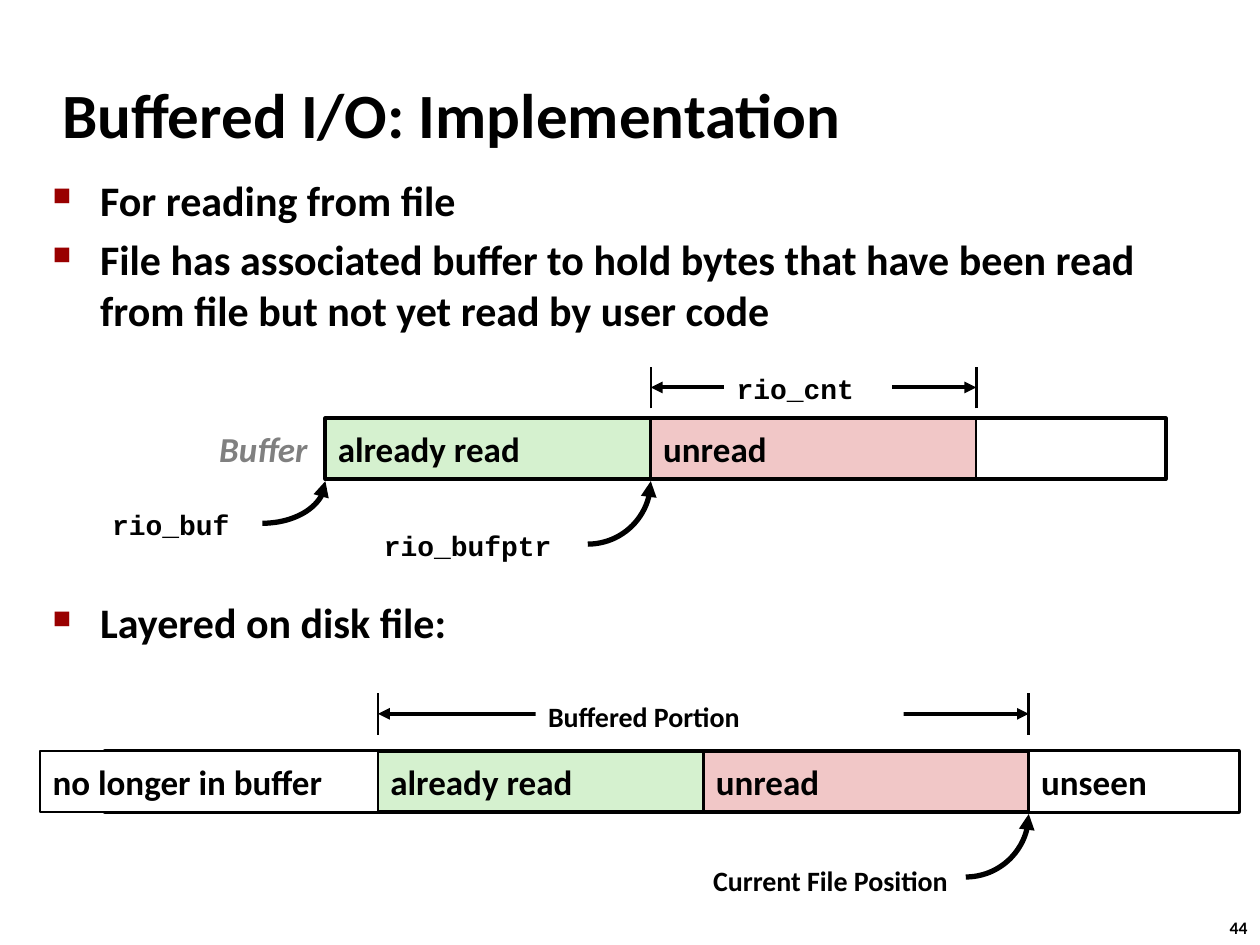
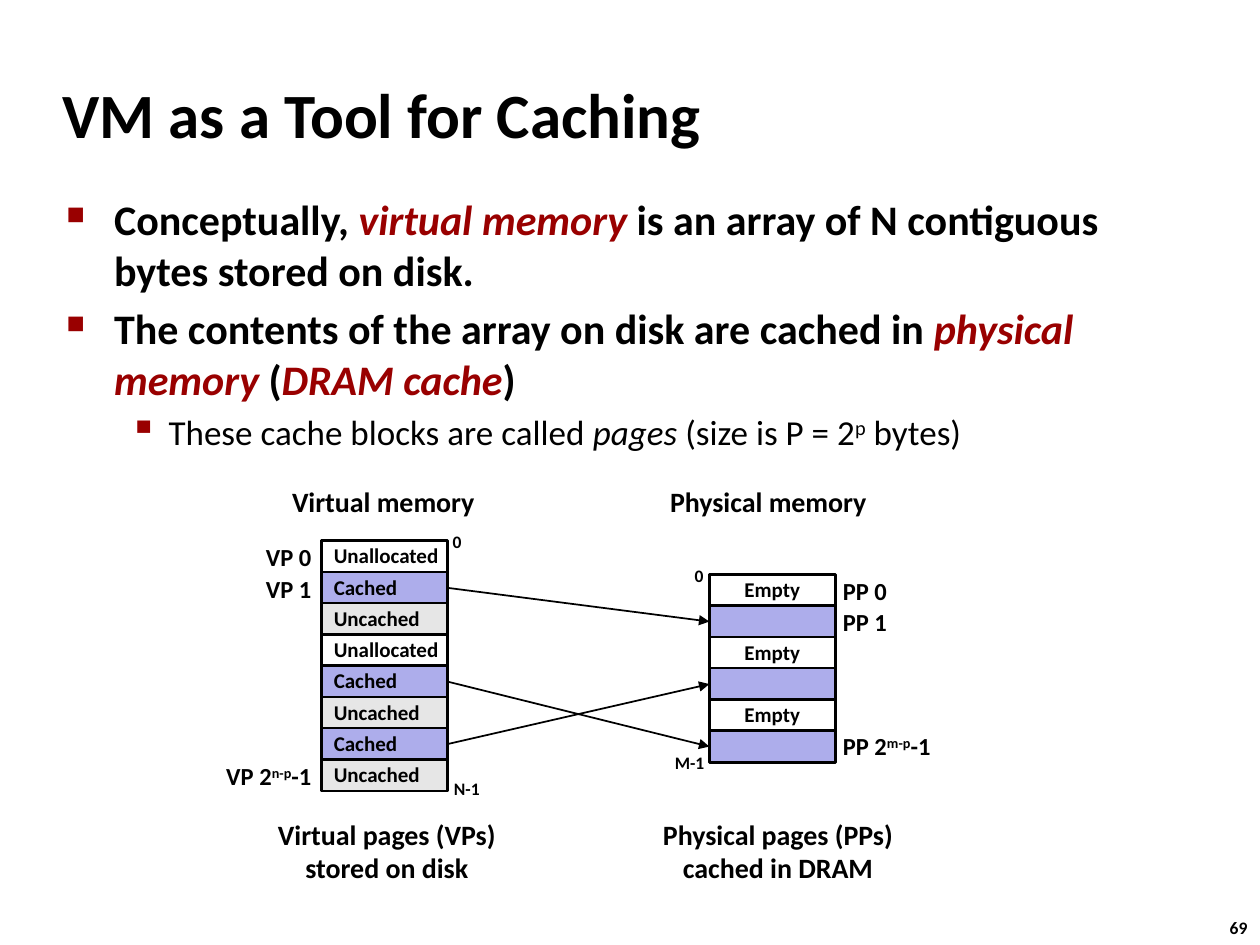
from math import cos, pi, sin

from lxml.etree import SubElement
from pptx import Presentation
from pptx.dml.color import RGBColor
from pptx.enum.shapes import MSO_CONNECTOR, MSO_SHAPE
from pptx.enum.text import MSO_ANCHOR as ANCHOR, PP_ALIGN as ALIGN
from pptx.oxml.ns import qn
from pptx.util import Cm, Pt

BLACK = RGBColor(0x00, 0x00, 0x00)
WHITE = RGBColor(0xFF, 0xFF, 0xFF)
RED = RGBColor(0x99, 0x00, 0x00)
GRAY = RGBColor(0x80, 0x80, 0x80)
GREEN = RGBColor(0xD5, 0xF1, 0xCF)
PINK = RGBColor(0xF1, 0xC7, 0xC7)
BLUE = RGBColor(0xAD, 0xAD, 0xEB)
LIGHT = RGBColor(0xE6, 0xE6, 0xE6)
SANS, MONO = "Calibri", "Courier New"
RECT, STRAIGHT = MSO_SHAPE.RECTANGLE, MSO_CONNECTOR.STRAIGHT
EM = {"italic": True, "color": RED}
SUP = {"sup": True}


def put(sp, text, size=20, font=SANS, color=BLACK, bold=True, italic=False,
        align=ALIGN.LEFT, anchor=ANCHOR.MIDDLE, wrap=False, spacing=None,
        fill=None, line=None):
    """Format a shape and write text: a string, or paragraphs of (text, format) runs."""
    sp.shadow.inherit = False
    if fill is None:
        sp.fill.background()
    else:
        sp.fill.solid()
        sp.fill.fore_color.rgb = fill
    if line is None:
        sp.line.fill.background()
    else:
        sp.line.color.rgb = BLACK
        sp.line.width = Pt(line)
    tf = sp.text_frame
    tf.word_wrap = wrap
    tf.vertical_anchor = anchor
    paragraphs = [[(row, {})] for row in text.split("\n")] if isinstance(text, str) else text
    for i, runs in enumerate(paragraphs):
        p = tf.add_paragraph() if i else tf.paragraphs[0]
        p.alignment = align
        if spacing:
            p.line_spacing = spacing
        for words, own in runs:
            if not words:
                continue
            r = p.add_run()
            r.text = words
            r.font.name = font
            r.font.size = Pt(own.get("size", size))
            r.font.bold = own.get("bold", bold)
            r.font.italic = own.get("italic", italic)
            r.font.color.rgb = own.get("color", color)
            if own.get("sup"):
                r.font._element.set("baseline", "30000")
    return sp


def draw_line(sp, width, *ends):
    """Give a connector or curve a black line with arrowheads at the named ends."""
    sp.line.color.rgb = BLACK
    sp.line.width = Pt(width)
    spPr = sp._element.spPr
    for end in ends:
        SubElement(spPr.find(qn("a:ln")), qn(f"a:{end}"), type="triangle")
    if spPr.find(qn("a:effectLst")) is None:
        SubElement(spPr, qn("a:effectLst"))


prs = Presentation()
prs.slide_width, prs.slide_height = Cm(25.4), Cm(19.05)

# Titles, bullets and page numbers
sub = {"size": 20, "bold": False}
pages = [
    ("Buffered I/O: Implementation", "44", (0.81, 3.4, 23.09, 11),
     [[("For reading from file", {})],
      [("File has associated buffer to hold bytes that have been read "
        "from file but not yet read by user code", {})],
      [("Layered on disk file:", {})]]),
    ("VM as a Tool for Caching", "69", (1.09, 3.78, 21.95, 5.74),
     [[("Conceptually,", {}), (" virtual memory ", EM),
       ("is an array of N contiguous bytes stored on disk.", {})],
      [("The contents of the array on disk are cached in ", {}),
       ("physical memory", EM), (" (", {}), ("DRAM cache", EM), (")", {})],
      [("These cache blocks are called ", sub), ("pages ", {**sub, "italic": True}),
       ("(size is P = 2", sub), ("p", {**sub, **SUP}), (" bytes)", sub)]]),
]
slides = []
for title, number, place, bullets in pages:
    s = prs.slides.add_slide(prs.slide_layouts[5])
    slides.append(s)
    sp = s.shapes.title
    sp.left, sp.top, sp.width, sp.height = Cm(1), Cm(1.22), Cm(21.08), Cm(2.11)
    put(sp, title, size=36, wrap=True)
    body = put(s.shapes.add_textbox(*map(Cm, place)), bullets, size=24,
               anchor=ANCHOR.TOP, wrap=True)
    for i, p in enumerate(body.text_frame.paragraphs):
        is_sub = bullets[i][0][1] is sub
        margin, hang, mark, percent = (2.06, 0.79, "▪", 110) if is_sub else (0.96, 0.96, "■", 60)
        if i:
            p.space_before = Pt(4 if is_sub else 4.8)
        pPr = p._p.get_or_add_pPr()
        pPr.set("marL", str(Cm(margin)))
        pPr.set("indent", str(-Cm(hang)))
        SubElement(SubElement(pPr, qn("a:buClr")), qn("a:srgbClr"), val=str(RED))
        SubElement(pPr, qn("a:buSzPct"), val=str(percent * 1000))
        SubElement(pPr, qn("a:buChar"), char=mark)
    put(s.shapes.add_textbox(Cm(24.54), Cm(18.36), Cm(0.94), Cm(0.69)), number, size=10)

# Buffered I/O: the buffer and the file below it
s, vm_slide = slides
s.shapes[1].text_frame.paragraphs[2].space_before = Pt(150)
CELL, BAR = 6.56, 1.23
buffer_x, buffer_y = 6.56, 8.43
file_x, file_y = 7.62, 15.14
file_end = file_x + 2 * CELL
bars = [
    ("unread", buffer_x + CELL, buffer_y, CELL, PINK, 1.5),
    ("already read", buffer_x, buffer_y, CELL, GREEN, 1.5),
    ("", buffer_x, buffer_y, 16.94, None, 2.25),
    ("unread", file_x + CELL, file_y, CELL, PINK, 1.5),
    ("already read", file_x, file_y, CELL, GREEN, 1.5),
    ("", 2.11, file_y, 22.86, None, 2.25),
    ("no longer in buffer", 0.81, file_y, file_x - 0.81, WHITE, 1.5),
    ("unseen", file_end, file_y, 4.24, WHITE, 1.5),
]
for text, x, y, w, fill, line in bars:
    put(s.shapes.add_shape(RECT, Cm(x), Cm(y), Cm(w), Cm(BAR)), text, fill=fill, line=line)

# Measured spans, each with a label that covers the middle of its arrow
spans = [
    ("rio_cnt", MONO, buffer_x + CELL, buffer_x + 2 * CELL, 7.39, (14.6, 3.38, 0.86)),
    ("Buffered Portion", SANS, file_x, file_end, 13.97, (10.8, 7.42, 0.94)),
]
for text, font, x1, x2, top, (x, w, h) in spans:
    for tick in (x1, x2):
        draw_line(s.shapes.add_connector(STRAIGHT, Cm(tick), Cm(top + 0.84), Cm(tick), Cm(top)), 1.5)
    y = Cm(top + 0.42)
    draw_line(s.shapes.add_connector(STRAIGHT, Cm(x1), y, Cm(x2), y), 2.25, "headEnd", "tailEnd")
    put(s.shapes.add_shape(RECT, Cm(x), Cm(top), Cm(w), Cm(h)), text, size=16, font=font, fill=WHITE)

# Curved pointers: a quarter ellipse from the tip down to the label
pointers = [(buffer_x, 9.7, 0.85), (buffer_x + CELL, 9.7, 1.27), (file_end, 16.41, 1.27)]
for x, y, drop in pointers:
    reach, steps = 1.27, 24
    angles = [pi / 2 * i / steps for i in range(1, steps + 1)]
    curve = s.shapes.build_freeform(Cm(x), Cm(y))
    curve.add_line_segments(
        [(Cm(x - reach + reach * cos(a)), Cm(y + drop * sin(a))) for a in angles], close=False)
    sp = curve.convert_to_shape()
    sp.shadow.inherit = False
    sp.fill.background()
    draw_line(sp, 3, "headEnd")

labels = [
    ("Buffer", 4.17, 8.48, 2.36, 1.12, {"color": GRAY, "italic": True}),
    ("rio_buf", 2.01, 10.13, 2.9, 0.86, {"size": 16, "font": MONO}),
    ("rio_bufptr", 7.49, 10.57, 4.45, 0.86, {"size": 16, "font": MONO}),
    ("Current File Position", 12.17, 17.27, 7.19, 0.94, {"size": 16, "align": ALIGN.RIGHT}),
]
for text, x, y, w, h, fmt in labels:
    put(s.shapes.add_textbox(Cm(x), Cm(y), Cm(w), Cm(h)), text, **fmt)

# VM as a cache: virtual pages on the left, physical pages on the right
s = vm_slide
PITCH = 0.63
page_fill = {"Unallocated": WHITE, "Cached": BLUE, "Uncached": LIGHT, "Empty": WHITE, "": BLUE}
virtual = ["Unallocated", "Cached", "Uncached", "Unallocated",
           "Cached", "Uncached", "Cached", "Uncached"]
physical = ["Empty", ""] * 3
stacks = []
for names, x, top, align in [(virtual, 6.48, 10.9, ALIGN.LEFT), (physical, 14.3, 11.58, ALIGN.CENTER)]:
    stacks.append([
        put(s.shapes.add_shape(RECT, Cm(x), Cm(top + i * PITCH), Cm(2.54), Cm(0.64)), name,
            size=12, align=align, spacing=0.98, fill=page_fill[name], line=1.5)
        for i, name in enumerate(names)])

vps, pps = stacks
for vp, pp in [(1, 1), (4, 5), (6, 3)]:
    arrow = s.shapes.add_connector(STRAIGHT, 0, 0, 0, 0)
    arrow.begin_connect(vps[vp], 3)
    arrow.end_connect(pps[pp], 1)
    draw_line(arrow, 1, "tailEnd")

last_vp = [[("VP 2", {}), ("n-p", SUP), ("-1", {})]]
last_pp = [[("PP 2", {}), ("m-p", SUP), ("-1", {})]]
heading = {"size": 16, "align": ALIGN.CENTER, "spacing": 0.88}
vp_name = {"size": 14, "align": ALIGN.RIGHT, "spacing": 0.88}
pp_name = {"size": 14, "spacing": 0.98}
address = {"size": 10, "align": ALIGN.CENTER, "spacing": 0.98}
caption = {"size": 16, "align": ALIGN.CENTER, "spacing": 0.98}
labels = [
    ("Virtual memory", 5.61, 9.73, 4.24, 0.84, heading),
    ("Physical memory", 13.23, 9.73, 4.52, 0.84, heading),
    ("VP 0", 5.11, 10.87, 1.42, 0.79, vp_name),
    ("VP 1", 5.11, 11.51, 1.42, 0.79, vp_name),
    (last_vp, 4.24, 15.29, 2.29, 0.79, vp_name),
    ("PP 0", 16.74, 11.51, 1.4, 0.84, pp_name),
    ("PP 1", 16.74, 12.14, 1.4, 0.84, pp_name),
    (last_pp, 16.74, 14.68, 2.36, 0.79, {**pp_name, "spacing": 0.88}),
    ("0", 8.86, 10.59, 0.71, 0.69, address),
    ("N-1", 8.89, 15.57, 1.04, 0.69, address),
    ("0", 13.74, 11.28, 0.71, 0.69, address),
    ("M-1", 13.34, 15.04, 1.12, 0.69, address),
    ("Virtual pages (VPs)\nstored on disk", 5.31, 16.38, 4.98, 1.6, caption),
    ("Physical pages (PPs)\ncached in DRAM", 13.08, 16.38, 5.21, 1.6, caption),
]
for text, x, y, w, h, fmt in labels:
    put(s.shapes.add_textbox(Cm(x), Cm(y), Cm(w), Cm(h)), text, **fmt)

prs.save("out.pptx")
